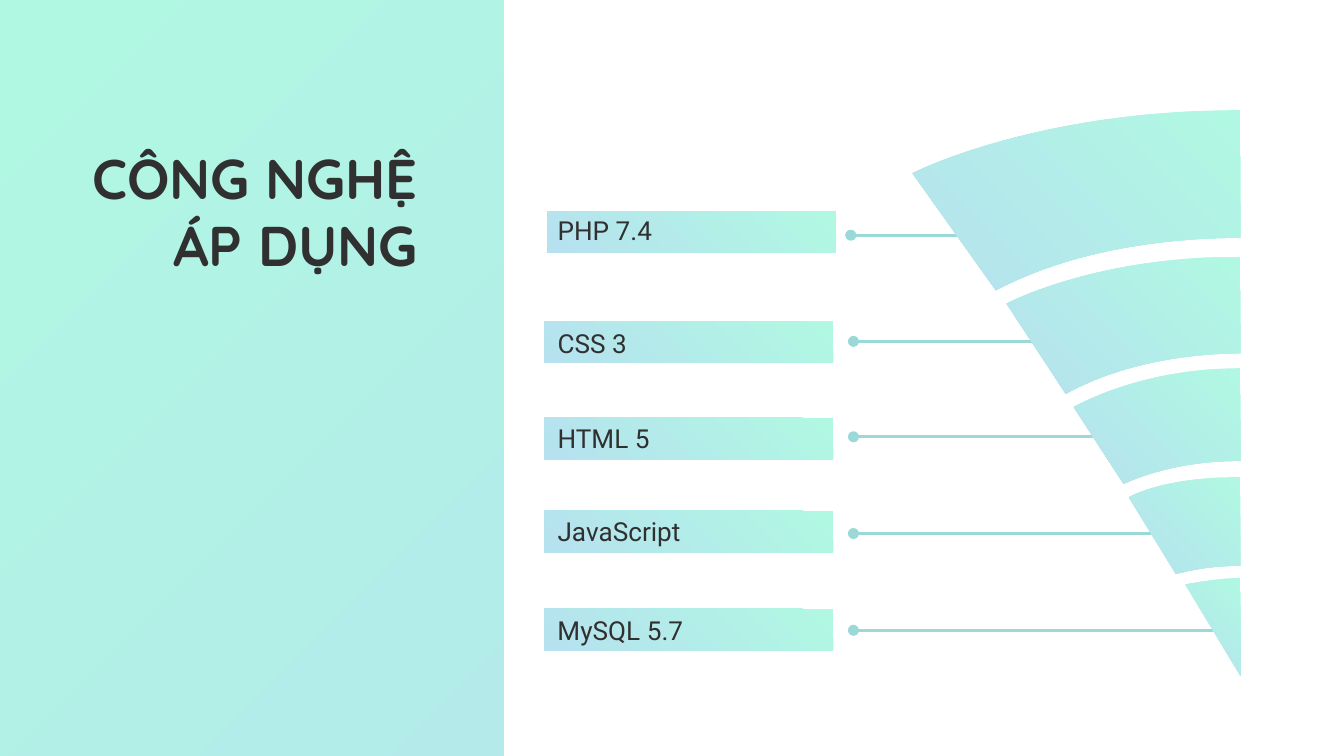
from collections import namedtuple

from lxml import etree
from pptx import Presentation
from pptx import util as u
from pptx.dml.color import RGBColor
from pptx.enum import shapes, text
from pptx.oxml.ns import qn

Box = namedtuple("Box", "x y w h")
Row = namedtuple("Row", "label x bar_y text_y text_w line_y start end")
Ring = namedtuple("Ring", "top bottom outer outer_ctrl inner_ctrl1 inner_ctrl2 inner")

W, H = 10, 5.625
MINT, SKY, TEAL, INK, WHITE = "B0F8E2", "B6E2EF", "9AD9D7", "303030", "FFFFFF"
FAN_GRID = (244, 421)
TEXT_H = 0.38
ROWS = [
    Row("PHP 7.4", 0.02, 0, -0.05, 2.15, 0.18, 2.28, 3.08),
    Row("CSS 3", 0, 0.82, 0.79, 2.15, 0.97, 2.3, 3.63),
    Row("HTML 5", 0, 1.54, 1.5, 2.15, 1.68, 2.3, 4.1),
    Row("JavaScript", 0, 2.23, 2.19, 1.25, 2.4, 2.3, 4.55),
    Row("MySQL 5.7", 0, 2.96, 2.93, 1.77, 3.12, 2.3, 4.98),
]
RINGS = [
    Ring(0, 95, (0, 47), (91, 0), (216, 95), (132, 97), (62, 134)),
    Ring(109, 181, (70, 144), (135, 109), (224, 181), (165, 183), (114, 211)),
    Ring(192, 261, (120, 221), (169, 192), (229, 261), (193, 262), (157, 278)),
    Ring(273, 339, (161, 288), (186, 273), (237, 339), (219, 339), (196, 345)),
    Ring(348, 421, (203, 353), (229, 348), (244, 421), (244, 421), (244, 421)),
]


def color(value):
    """Turn a hex string into a colour."""
    return RGBColor.from_string(value)


def inches(*values):
    """Convert several lengths to slide units."""
    return [u.Inches(v) for v in values]


def shade(fill, angle):
    """Apply the mint to sky gradient at an angle."""
    fill.gradient()
    fill.gradient_angle = angle
    for stop, value in zip(fill.gradient_stops, (MINT, SKY)):
        stop.color.rgb = color(value)


def plain(sp):
    """Remove the outline and shadow of a shape."""
    sp.line.fill.background()
    sp.shadow.inherit = False
    return sp


def outline(s, spots):
    """Draw a closed gradient outline through the given spots."""
    builder = s.shapes.build_freeform(*spots[0])
    builder.add_line_segments(spots[1:], close=True)
    sp = plain(builder.convert_to_shape())
    shade(sp.fill, 225)
    return sp


def write(sp, words, size, font, align, anchor, bold=False):
    """Write one run of formatted text into a shape."""
    tf = sp.text_frame
    tf.word_wrap = True
    tf.auto_size = text.MSO_AUTO_SIZE.NONE
    tf.vertical_anchor = anchor
    tf.margin_left = tf.margin_right = tf.margin_top = tf.margin_bottom = u.Inches(0.1)
    p = tf.paragraphs[0]
    p.alignment = align
    r = p.add_run()
    r.text = words
    r.font.size, r.font.name, r.font.bold = u.Pt(size), font, bold
    r.font.color.rgb = color(INK)


def add_panel(s, box):
    """Place the white content panel on the layout."""
    sp = plain(s.shapes.add_shape(shapes.MSO_SHAPE.RECTANGLE, *inches(*box)))
    sp.fill.solid()
    sp.fill.fore_color.rgb = color(WHITE)
    s.slide_layout.shapes._spTree.insert(2, sp._element)


def add_title(s, box, words):
    """Place the slide title at the bottom right of its box."""
    sp = s.shapes.title
    sp.left, sp.top, sp.width, sp.height = inches(*box)
    write(sp, words, 30, "Quicksand", text.PP_ALIGN.RIGHT, text.MSO_ANCHOR.BOTTOM, True)


def add_bar(s, box):
    """Place one gradient bar."""
    right, bottom = box.x + box.w, box.y + box.h
    corners = [(right, box.y), (right, bottom), (box.x, bottom), (box.x, box.y)]
    outline(s, [inches(*corner) for corner in corners])


def add_label(s, box, words):
    """Place the text of one bar."""
    sp = s.shapes.add_textbox(*inches(*box))
    write(sp, words, 14, "Roboto", text.PP_ALIGN.LEFT, text.MSO_ANCHOR.MIDDLE)


def add_leader(s, start, end, y):
    """Draw a leader line with a dot at its left end."""
    line = s.shapes.add_connector(shapes.MSO_CONNECTOR.STRAIGHT, *inches(end, y, start, y))
    line.line.width = u.Pt(1.5)
    line.line.color.rgb = color(TEAL)
    etree.SubElement(line.line._get_or_add_ln(), qn("a:tailEnd"), type="oval")
    etree.SubElement(line._element.spPr, qn("a:effectLst"))


def add_rows(s, box):
    """Place the bars, their labels and their leader lines."""
    for row in ROWS:
        add_bar(s, Box(box.x + row.x, box.y + row.bar_y, box.w, box.h))
        add_label(s, Box(box.x, box.y + row.text_y, row.text_w, TEXT_H), row.label)
        add_leader(s, box.x + row.start, box.x + row.end, box.y + row.line_y)


def bend(sp, segment, controls):
    """Turn a straight segment into a cubic curve."""
    segment.tag = qn("a:cubicBezTo")
    for i, (x, y) in enumerate(controls):
        pt = etree.Element(qn("a:pt"), x=str(x - sp.left), y=str(y - sp.top))
        segment.insert(i, pt)


def add_fan(s, box):
    """Place the curved rings of the fan."""
    cols, rows = FAN_GRID

    def spot(point):
        """Convert a grid point of the fan to slide units."""
        return inches(box.x + point[0] * box.w / cols, box.y + point[1] * box.h / rows)

    for ring in RINGS:
        corners = [(cols, ring.bottom), ring.inner, ring.outer, (cols, ring.top)]
        sp = outline(s, [spot(c) for c in corners])
        inner, _, outer = list(sp._element.iter(qn("a:lnTo")))[:3]
        bend(sp, inner, [spot(ring.inner_ctrl1), spot(ring.inner_ctrl2)])
        bend(sp, outer, [spot(ring.outer), spot(ring.outer_ctrl)])


def main():
    """Build and save the slide."""
    prs = Presentation()
    prs.slide_width, prs.slide_height = inches(W, H)
    s = prs.slides.add_slide(prs.slide_layouts[5])
    shade(s.background.fill, 315)
    add_panel(s, Box(0.375 * W, 0, 0.625 * W, H))
    add_title(s, Box(0.5, 0.42, 2.71, 1.75), "CÔNG NGHỆ ÁP DỤNG")
    add_rows(s, Box(4.05, 1.57, 2.15, 0.31))
    add_fan(s, Box(6.79, 0.82, 2.44, 4.21))
    prs.save("out.pptx")


if __name__ == "__main__":
    main()
